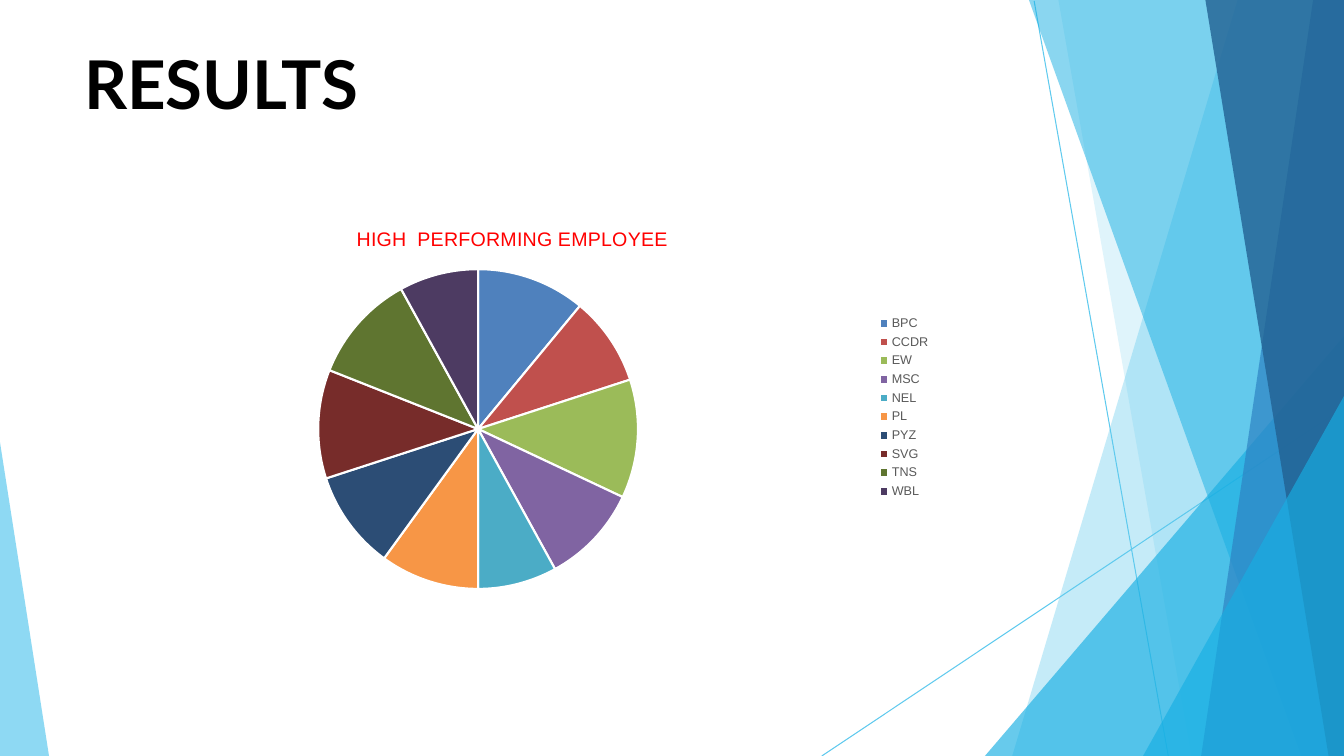
from lxml.etree import SubElement as Sub
from pptx import Presentation
from pptx.chart.data import CategoryChartData as Data
from pptx.dml.color import RGBColor as Rgb
from pptx.enum.chart import XL_CHART_TYPE as Kind, XL_LEGEND_POSITION as Side
from pptx.enum.shapes import MSO_CONNECTOR as Link
from pptx.enum.text import MSO_ANCHOR as Anchor, MSO_AUTO_SIZE as Fit, PP_ALIGN as Align
from pptx.oxml.ns import qn
from pptx.util import Pt

HUES = {"ink": "000000", "red": "FF0000", "grey": "595959", "white": "FFFFFF",
        "sky": "5FCAEE", "cyan": "17AFE3", "blue": "2D83C3", "navy": "226192"}
TEAMS = [("BPC", 11, "4F81BD"), ("CCDR", 9, "C0504D"), ("EW", 12, "9BBB59"),
         ("MSC", 10, "8064A2"), ("NEL", 8, "4BACC6"), ("PL", 10, "F79646"),
         ("PYZ", 10, "2C4D75"), ("SVG", 11, "772C2A"), ("TNS", 11, "5F7530"),
         ("WBL", 8, "4D3B62")]
BANDS = [(0, 884, 723, "sky", 36), (0, 756, 851, "sky", 20),
         (240, 960, 703.5, "cyan", 65), (0, 735, 929.5, "cyan", 50),
         (0, 938, 858, "blue", 70), (0, 861, 949, "navy", 80),
         (283, 960, 816.5, "cyan", 65)]
LINES = [(738.7, 0.7, 834.5, 540), (960, 291, 587, 540)]


def style(font, name, size, hue, bold=False):
    """Set the face, size, colour and weight of a font."""
    font.name, font.size, font.bold = name, Pt(size), bold
    font.color.rgb = Rgb.from_string(HUES[hue])


def facet(slide, spots, hue, alpha):
    """Draw one see-through polygon."""
    first, *rest = [(Pt(x), Pt(y)) for x, y in spots]
    pen = slide.shapes.build_freeform(*first, scale=1.0)
    pen.add_line_segments(rest, close=True)
    shape = pen.convert_to_shape()
    shape.shadow.inherit = False
    shape.line.fill.background()
    shape.fill.solid()
    shape.fill.fore_color.rgb = Rgb.from_string(HUES[hue])
    tint = shape.fill._xPr.find(".//" + qn("a:srgbClr"))
    Sub(tint, qn("a:alpha"), val=str(alpha * 1000))


def decor(slide, box):
    """Draw the facets and thin lines along the edges of the box."""
    left, top, wide, high = box
    right, base = left + wide, top + high
    for x1, y1, x2, y2 in LINES:
        line = slide.shapes.add_connector(
            Link.STRAIGHT, Pt(left + x1), Pt(top + y1), Pt(left + x2), Pt(top + y2))
        line.line.width = Pt(0.75)
        line.line.color.rgb = Rgb.from_string(HUES["sky"])
        Sub(line._element.spPr, qn("a:effectLst"))
    for y, head, foot, hue, alpha in BANDS:
        spots = [(right, top + y), (left + head, top + y), (left + foot, base), (right, base)]
        facet(slide, list(dict.fromkeys(spots)), hue, alpha)
    facet(slide, [(left, top + 316), (left, base), (left + 35, base)], "sky", 70)


def heading(slide, box, text):
    """Fill the title placeholder and fit it to the box."""
    title = slide.shapes.title
    title.left, title.top, title.width, title.height = map(Pt, box)
    frame = title.text_frame
    frame.margin_left = frame.margin_right = frame.margin_top = frame.margin_bottom = 0
    frame.vertical_anchor = Anchor.TOP
    frame.auto_size = Fit.SHAPE_TO_FIT_TEXT
    para = frame.paragraphs[0]
    para.alignment = Align.LEFT
    run = para.add_run()
    run.text = text
    style(run.font, "Lato", 48, "ink", True)


def place(plot):
    """Fix the inner plot area as shares of the chart."""
    area = plot._element.getparent()
    old = area.find(qn("c:layout"))
    if old is not None:
        area.remove(old)
    layout = area.makeelement(qn("c:layout"))
    area.insert(0, layout)
    manual = Sub(layout, qn("c:manualLayout"))
    for tag, val in [("layoutTarget", "inner"), ("xMode", "edge"), ("yMode", "edge"),
                     ("x", "0.27"), ("y", "0.15"), ("w", "0.38"), ("h", "0.81")]:
        Sub(manual, qn("c:" + tag), val=val)


def pie(slide, box, text):
    """Add the pie chart with its title and legend."""
    names, counts, tints = zip(*TEAMS)
    data = Data()
    data.categories = names
    data.add_series("Series 1", counts)
    chart = slide.shapes.add_chart(Kind.PIE, *map(Pt, box), data).chart
    style(chart.font, "Arial", 10, "ink")
    chart.has_title = True
    run = chart.chart_title.text_frame.paragraphs[0].add_run()
    run.text = text
    style(run.font, "Arial", 14, "red")
    chart.chart_title.include_in_layout = False
    chart.has_legend = True
    chart.legend.position = Side.RIGHT
    chart.legend.include_in_layout = False
    style(chart.legend.font, "Arial", 9, "grey")
    plot = chart.plots[0]
    plot.vary_by_categories = True
    place(plot)
    for spot, tint in enumerate(tints):
        form = plot.series[0].points[spot].format
        form.fill.solid()
        form.fill.fore_color.rgb = Rgb.from_string(tint)
        form.line.width = Pt(1.5)
        form.line.color.rgb = Rgb.from_string(HUES["white"])


def main():
    """Build and save the results slide."""
    deck = Presentation()
    deck.slide_width, deck.slide_height = Pt(960), Pt(540)
    slide = deck.slides.add_slide(deck.slide_layouts[5])
    decor(slide, (0, 0, 960, 540))
    heading(slide, (60, 30, 252.7, 60), "RESULTS")
    pie(slide, (60, 150, 612, 282), "HIGH  PERFORMING EMPLOYEE")
    deck.save("out.pptx")


if __name__ == "__main__":
    main()
